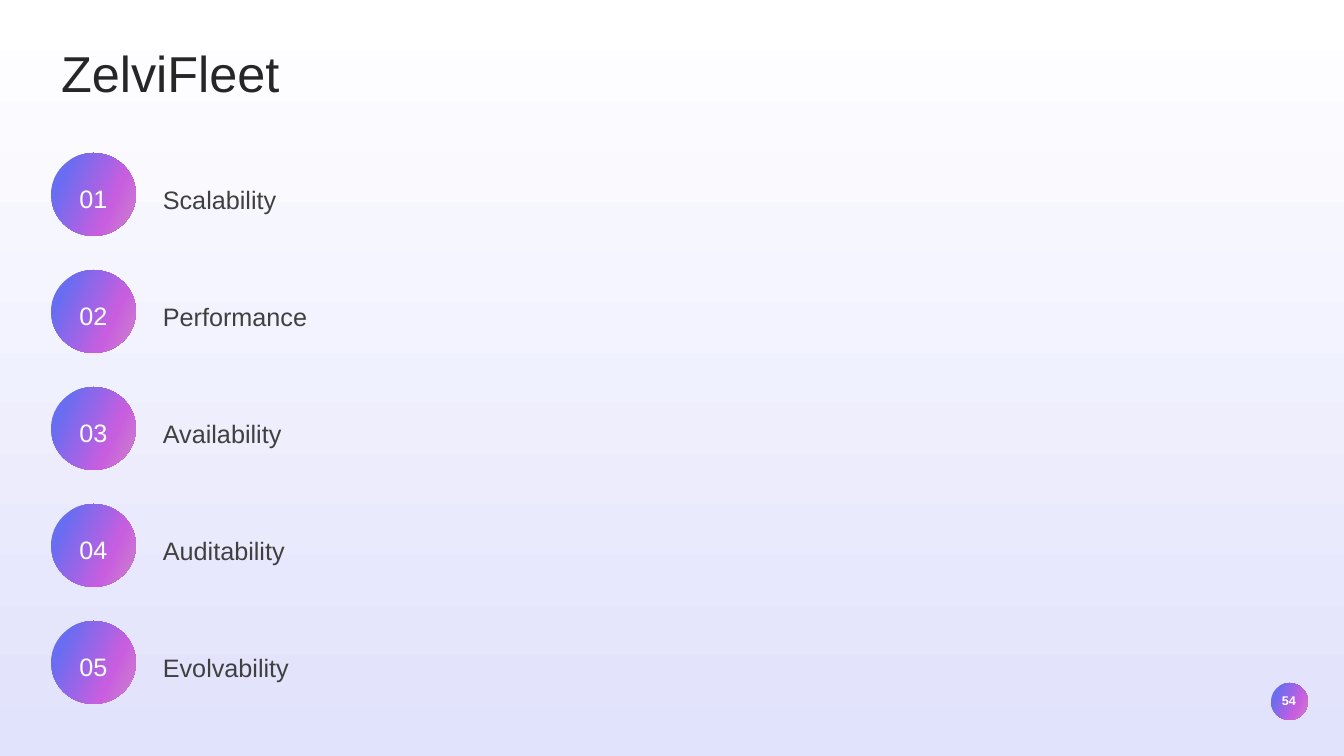
"""Build a slide listing five numbered qualities under a title."""
import pptx
import pptx.dml.color
import pptx.enum.shapes
import pptx.enum.text
import pptx.oxml
import pptx.oxml.ns
import pptx.util

TITLE = "ZelviFleet"
QUALITIES = ["Scalability", "Performance", "Availability", "Auditability", "Evolvability"]
PAGE = "54"

FONT = "Arial"
BACKDROP = [(0, "FFFFFF"), (100, "E1E2FC")]
BUBBLE = [(17, "686DF1"), (69, "C85EDF"), (100, "CE84CA")]

PX = 914400 / 100.8
SLIDE_W, SLIDE_H = 1344, 756
LEFT, TOP, PITCH = 51, 153, 117
BUBBLE_W, BUBBLE_H = 85, 83
LABEL_X, LABEL_DROP, LABEL_W, LABEL_H = 153, 17, 512, 47

ALIGN = pptx.enum.text.PP_ALIGN
ANCHOR = pptx.enum.text.MSO_ANCHOR
FIT = pptx.enum.text.MSO_AUTO_SIZE.SHAPE_TO_FIT_TEXT


def px(n):
    return pptx.util.Emu(round(n * PX))


def color(hex_string):
    return pptx.dml.color.RGBColor.from_string(hex_string)


def gradient(owner, fill, stops, angle):
    fill.gradient()
    fill.gradient_angle = 360 - angle
    gs_list = owner.element.xpath(".//a:gsLst")[0]
    for gs in list(gs_list):
        gs_list.remove(gs)
    for pos, hex_string in stops:
        gs_list.append(pptx.oxml.parse_xml(
            f'<a:gs {pptx.oxml.ns.nsdecls("a")} pos="{pos * 1000}">'
            f'<a:srgbClr val="{hex_string}"/></a:gs>'))


def write(sp, text, size, hex_string, align=ALIGN.LEFT, anchor=ANCHOR.TOP, bold=False):
    tf = sp.text_frame
    tf.text = text
    tf.word_wrap = True
    tf.vertical_anchor = anchor
    p = tf.paragraphs[0]
    p.alignment = align
    font = p.runs[0].font
    font.name, font.size, font.bold = FONT, pptx.util.Pt(size), bold
    font.color.rgb = color(hex_string)
    return tf


def add_bubble(s, x, y, w, h):
    sp = s.shapes.add_shape(pptx.enum.shapes.MSO_SHAPE.OVAL, px(x), px(y), px(w), px(h))
    sp.shadow.inherit = False
    sp.line.fill.background()
    gradient(sp, sp.fill, BUBBLE, 25)
    return sp


def add_text(s, x, y, w, h, *args, **kwargs):
    tf = write(s.shapes.add_textbox(px(x), px(y), px(w), px(h)), *args, **kwargs)
    tf.auto_size = FIT
    return tf


def add_quality(s, i, name):
    y = TOP + i * PITCH
    tf = add_text(s, LABEL_X, y + LABEL_DROP, LABEL_W, LABEL_H, name, 18, "404040")
    p = tf.paragraphs[0]
    p.line_spacing = 1.3
    p.space_after = pptx.util.Pt(8)
    sp = add_bubble(s, LEFT, y, BUBBLE_W, BUBBLE_H)
    tf = write(sp, f"{i + 1:02}", 18, "FFFFFF", ALIGN.CENTER, ANCHOR.MIDDLE)
    tf.margin_left = tf.margin_right = 0
    tf.margin_top, tf.margin_bottom = px(12), px(5)


def main():
    prs = pptx.Presentation()
    prs.slide_width, prs.slide_height = px(SLIDE_W), px(SLIDE_H)
    s = prs.slides.add_slide(prs.slide_layouts[5])
    gradient(s, s.background.fill, BACKDROP, 90)

    title = s.shapes.title
    title.left, title.top, title.width, title.height = px(LEFT), px(37), px(629), px(72)
    write(title, TITLE, 36, "262626").auto_size = FIT

    add_bubble(s, 1271, 683, 37, 37)
    add_text(s, 1266, 688, 46, 25, PAGE, 9, "FFFFFF", ALIGN.CENTER, ANCHOR.MIDDLE, bold=True)

    for i, name in enumerate(QUALITIES):
        add_quality(s, i, name)
    prs.save("out.pptx")


if __name__ == "__main__":
    main()
